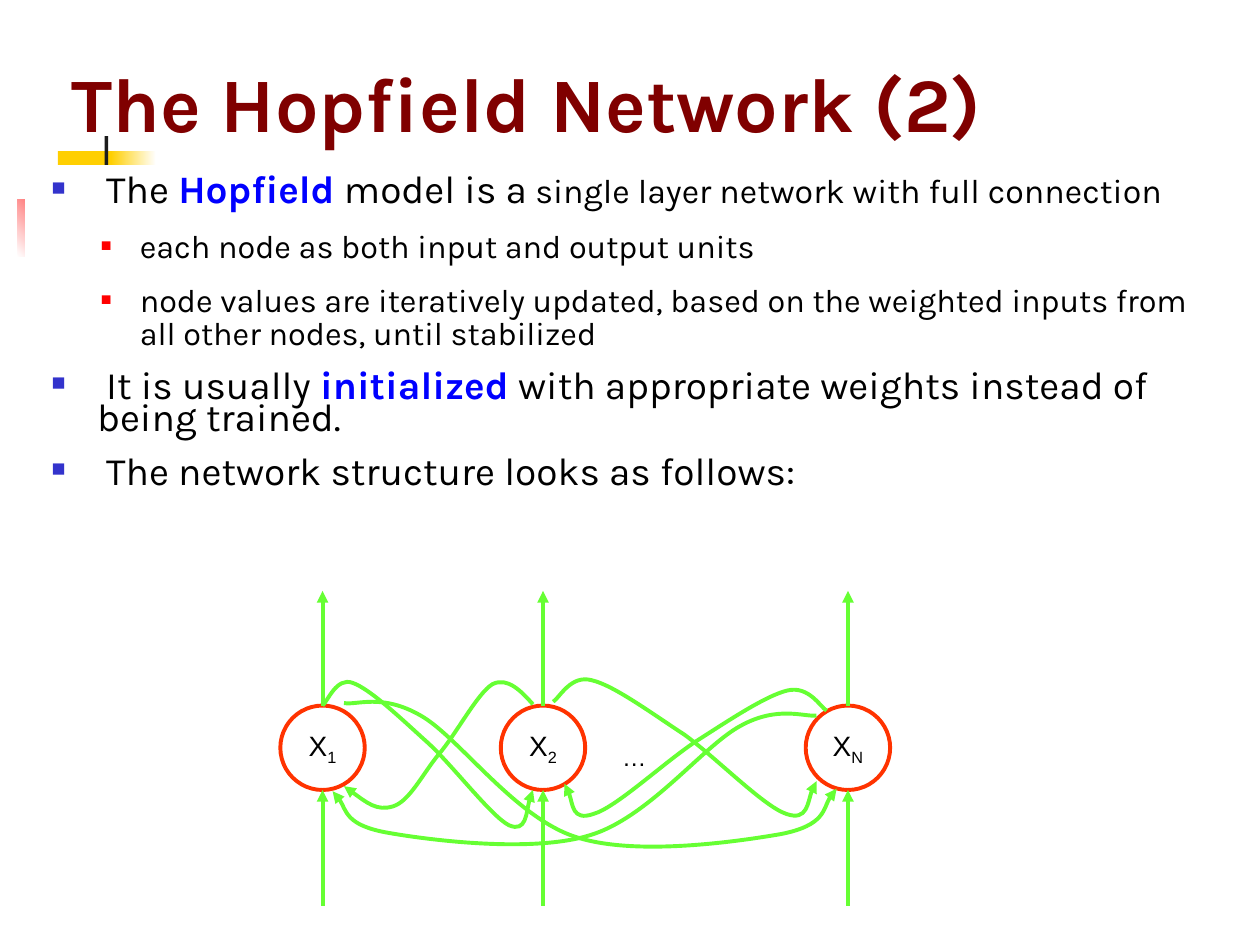
from lxml.etree import SubElement as Sub
from pptx import Presentation
from pptx.dml.color import RGBColor
from pptx.enum.shapes import MSO_CONNECTOR as Conn, MSO_SHAPE as Shape
from pptx.enum.text import MSO_ANCHOR as Anchor, MSO_AUTO_SIZE as Auto, PP_ALIGN as Align
from pptx.oxml.ns import qn
from pptx.util import Inches as In, Pt

GREEN, RED, BLUE, BLACK = "66FF33", "FF3300", "0000FF", "000000"
SIZE = 0.67                         # node diameter
TOP = 5.6                           # top of the node row
NODES = {"1": 2.56, "2": 4.31, "N": 6.73}   # subscript: centre

# Each curve: its start, then three points per cubic segment
CURVES = [
    [(2.56, 5.6), (2.6, 5.57), (2.67, 5.37), (2.8, 5.42), (2.94, 5.47), (3.18, 5.7), (3.39, 5.89),
     (3.59, 6.07), (3.9, 6.48), (4.04, 6.55), (4.18, 6.61), (4.19, 6.33), (4.23, 6.27)],
    [(2.73, 5.58), (2.83, 5.6), (3.03, 5.5), (3.34, 5.68), (3.64, 5.85), (4.08, 6.48), (4.56, 6.64),
     (5.03, 6.8), (5.85, 6.68), (6.2, 6.62), (6.55, 6.55), (6.55, 6.33), (6.64, 6.26)],
    [(4.23, 5.59), (4.14, 5.49), (4.03, 5.37), (3.91, 5.43), (3.79, 5.5), (3.62, 5.83), (3.48, 5.99),
     (3.35, 6.15), (3.25, 6.36), (3.12, 6.4), (2.99, 6.44), (2.87, 6.34), (2.73, 6.24)],
    [(4.39, 5.57), (4.44, 5.54), (4.53, 5.35), (4.7, 5.4), (4.87, 5.44), (5.17, 5.66), (5.43, 5.83),
     (5.68, 6.01), (6.06, 6.4), (6.24, 6.46), (6.41, 6.52), (6.43, 6.25), (6.48, 6.2)],
    [(6.56, 5.64), (6.51, 5.61), (6.42, 5.44), (6.25, 5.48), (6.08, 5.52), (5.78, 5.72), (5.53, 5.88),
     (5.27, 6.05), (4.89, 6.41), (4.71, 6.46), (4.54, 6.52), (4.53, 6.27), (4.48, 6.22)],
    [(6.48, 5.68), (6.38, 5.69), (6.17, 5.6), (5.88, 5.76), (5.58, 5.92), (5.15, 6.49), (4.68, 6.63),
     (4.22, 6.77), (3.42, 6.67), (3.08, 6.61), (2.74, 6.55), (2.73, 6.35), (2.64, 6.28)],
]

# Each item: level, line spacing, runs of (text, size, key word?)
ITEMS = [
    (0, 0.85, [(" The ", 22.2, False), ("Hopfield", 22.2, True), (" model is a", 22.2, False),
               (" single layer network with full connection", 19.4, False)]),
    (1, 0.85, [("each node as both input and output units", 18.5, False)]),
    (1, 0.85, [("node values are iteratively updated, based on the weighted inputs from "
                "all other nodes, until stabilized", 18.5, False)]),
    (0, 0.7, [(" It is usually ", 22.2, False), ("initialized", 22.2, True),
              (" with appropriate weights instead of being trained.", 22.2, False)]),
    (0, 0.7, [(" The network structure looks as follows:", 22.2, False)]),
]
# Per level: left margin, indent, bullet colour, bullet percent
LEVELS = [(0.47, -0.36, "3333CC", 60), (0.81, -0.31, "FF0000", 55)]


def rgb(code):
    return RGBColor.from_string(code)


def write(para, text, size=16, face="Arial", color=BLACK, bold=False, base=0):
    run = para.add_run()
    run.text = text
    font = run.font
    font.size, font.name, font.bold = Pt(size), face, bold
    font.color.rgb = rgb(color)
    if base:
        font._rPr.set("baseline", str(base * 1000))


def place(shape, left, top, width, height):
    shape.left, shape.top, shape.width, shape.height = map(In, (left, top, width, height))


def bar(slide, box, *colors, angle=0):
    rect = slide.shapes.add_shape(Shape.RECTANGLE, *map(In, box))
    rect.shadow.inherit = False
    rect.line.fill.background()
    if len(colors) == 1:
        rect.fill.solid()
        rect.fill.fore_color.rgb = rgb(colors[0])
        return
    rect.fill.gradient()
    rect.fill.gradient_angle = angle
    for stop, color in zip(rect.fill.gradient_stops, colors):
        stop.color.rgb = rgb(color)


def stroke(shape, color, arrow=True):
    shape.line.color.rgb = rgb(color)
    shape.line.width = Pt(2.25)
    if arrow:
        Sub(shape.line._get_or_add_ln(), qn("a:tailEnd"), type="triangle")


def arrow(slide, x, start, end):
    line = slide.shapes.add_connector(Conn.STRAIGHT, In(x), In(start), In(x), In(end))
    stroke(line, GREEN)
    Sub(line._element.spPr, qn("a:effectLst"))


def curve(slide, points):
    start, *rest = [(In(x), In(y)) for x, y in points]
    pen = slide.shapes.build_freeform(*start)
    pen.add_line_segments(rest, close=False)
    shape = pen.convert_to_shape()
    shape.shadow.inherit = False
    shape.fill.background()
    stroke(shape, GREEN)
    # Turn each three line segments into one cubic segment
    lines = list(shape._element.iter(qn("a:lnTo")))
    track = lines[0].getparent()
    for i in range(0, len(lines), 3):
        cubic = Sub(track, qn("a:cubicBezTo"))
        for line in lines[i:i + 3]:
            cubic.append(line[0])
            track.remove(line)


def node(slide, sub, mid):
    ring = slide.shapes.add_shape(Shape.OVAL, In(mid - SIZE / 2), In(TOP), In(SIZE), In(SIZE))
    ring.shadow.inherit = False
    ring.fill.background()
    stroke(ring, RED, arrow=False)
    frame = ring.text_frame
    frame.word_wrap = False
    frame.vertical_anchor = Anchor.MIDDLE
    para = frame.paragraphs[0]
    para.alignment = Align.CENTER
    write(para, "X")
    write(para, sub, base=-25)


def bullet(para, level):
    left, indent, color, pct = LEVELS[level]
    para.level = level
    props = para._p.get_or_add_pPr()
    props.set("marL", str(In(left)))
    props.set("indent", str(In(indent)))
    Sub(Sub(props, qn("a:buClr")), qn("a:srgbClr"), val=color)
    Sub(props, qn("a:buSzPct"), val=str(pct * 1000))
    Sub(props, qn("a:buChar"), char="■")


def head(title):
    place(title, 0.47, 0.39, 10, 0.83)
    frame = title.text_frame
    frame.auto_size = Auto.NONE
    frame.vertical_anchor = Anchor.BOTTOM
    para = frame.paragraphs[0]
    para.alignment = Align.LEFT
    write(para, "The Hopfield Network (2)", size=44, face="Karla", color="800000", bold=True)


def outline(body):
    place(body, 0.2, 1.31, 9.58, 2.83)
    body.fill.solid()
    body.fill.fore_color.rgb = rgb("FFFFFF")
    frame = body.text_frame
    frame.auto_size = Auto.NONE
    for i, (level, gap, runs) in enumerate(ITEMS):
        para = frame.add_paragraph() if i else frame.paragraphs[0]
        bullet(para, level)
        para.line_spacing = gap
        para.space_before, para.space_after = Pt(6 if i else 0), Pt(6)
        for text, size, key in runs:
            write(para, text, size=size, face="Karla", color=BLUE if key else BLACK, bold=key)


def main():
    deck = Presentation()
    deck.slide_width, deck.slide_height = In(10), In(7.5)
    slide = deck.slides.add_slide(deck.slide_layouts[1])
    title, body = slide.placeholders

    # Accent bars, behind the text
    bar(slide, (0.46, 1.2, 0.48, 0.52), "FFCF01")
    bar(slide, (0.88, 1.2, 0.36, 0.52), "FFCF01", "FFFFFF")
    bar(slide, (0.14, 1.58, 0.61, 0.46), "FFFFFF", "FF0000", angle=45)
    bar(slide, (0.83, 1.08, 0.03, 1.15), "1C1C1C")
    for holder in (title, body):
        slide.shapes._spTree.append(holder._element)
    head(title)
    outline(body)

    # Network: nodes, inputs and outputs, feedback
    for sub, mid in NODES.items():
        node(slide, sub, mid)
    for mid in NODES.values():
        arrow(slide, mid, 7.19, TOP + SIZE)
        arrow(slide, mid, TOP, 4.69)
    dots = slide.shapes.add_textbox(In(4.84), In(5.62), In(0.83), In(0.58))
    dots.text_frame.word_wrap = True
    write(dots.text_frame.paragraphs[0], "…", size=24, base=-25)
    for points in CURVES:
        curve(slide, points)

    deck.save("out.pptx")


if __name__ == "__main__":
    main()
